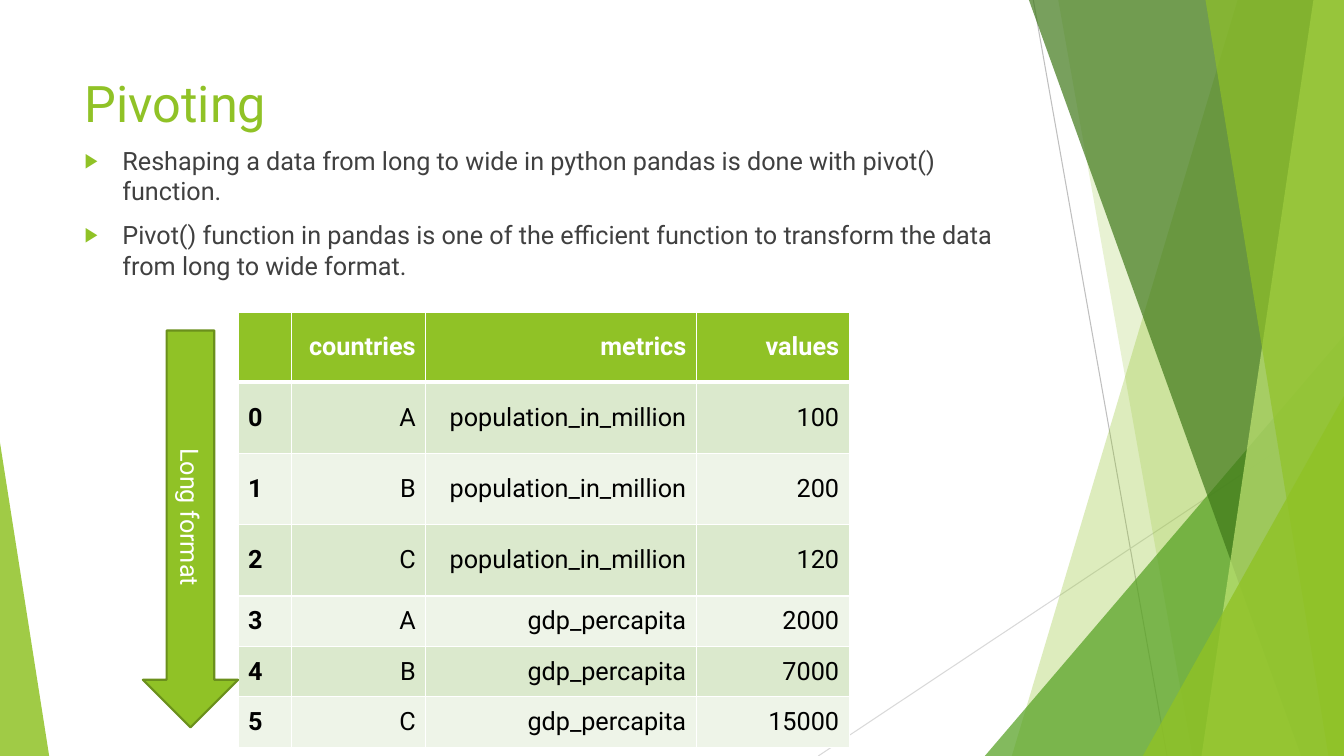
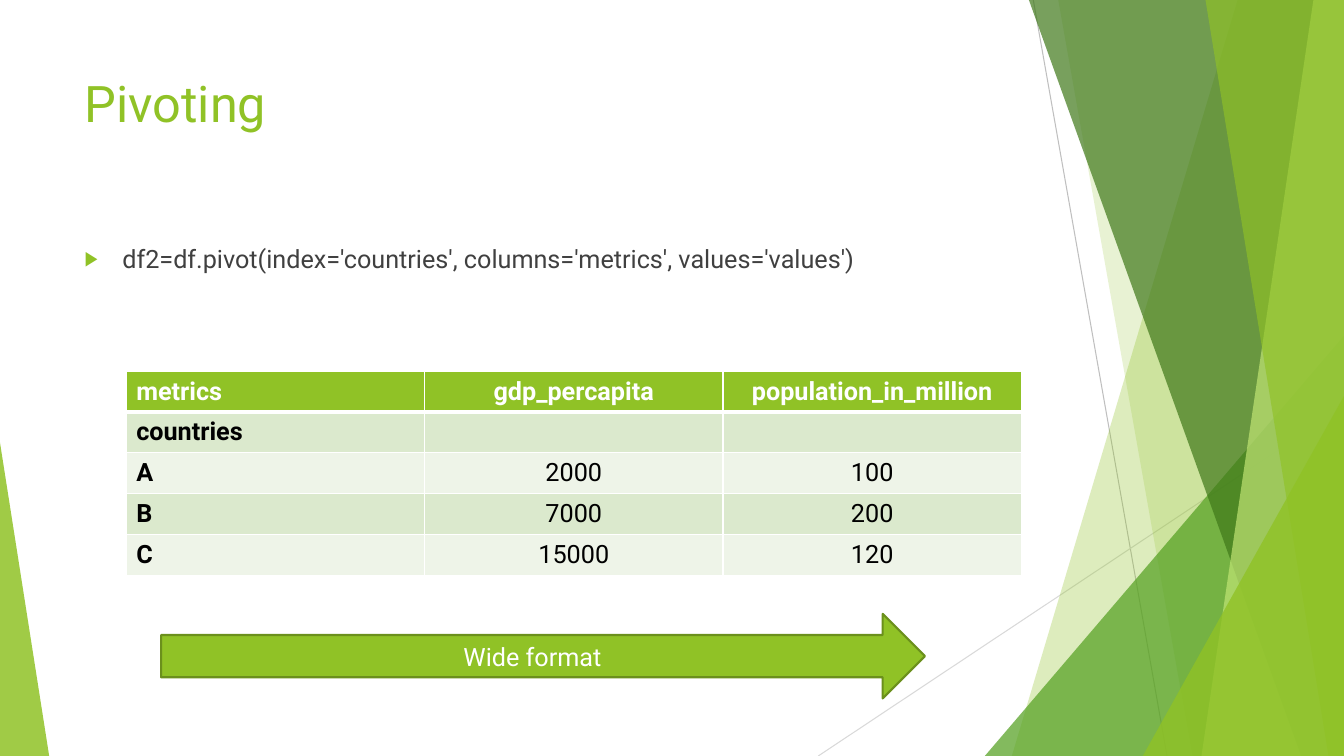
from typing import NamedTuple

from lxml.etree import SubElement
from pptx import Presentation
from pptx.dml.color import RGBColor
from pptx.enum.shapes import MSO_CONNECTOR as Connector, MSO_SHAPE as Shape
from pptx.enum.text import MSO_ANCHOR as Anchor, MSO_AUTO_SIZE as AutoSize, PP_ALIGN as Align
from pptx.oxml.ns import qn
from pptx.util import Cm, Pt

FONT = "Roboto"
COLORS = {
    "lime": "90C226", "pale_lime": "C0E474", "green": "54A021", "forest": "3F7819",
    "outline": "6B901C", "text": "404040", "black": "000000", "white": "FFFFFF",
    "band_dark": "DBE9CD", "band_light": "EEF4E8", "gray": "BFBFBF", "light_gray": "D9D9D9",
}


class Box(NamedTuple):
    """A region in centimetres."""
    left: float
    top: float
    width: float
    height: float

    def emu(self):
        return [Cm(length) for length in self]


PAGE = Box(0, 0, 33.87, 19.05)
TITLE = Box(1.88, 1.7, 23.88, 3.66)

# Slanted bands run from the top x to the bottom x and fill to the right edge:
# (top x, bottom x, colour, opacity in percent)
BANDS_BACK = [(31.19, 25.5, "lime", 30), (26.67, 30.05, "lime", 20)]
BANDS_FRONT = [(25.93, 32.79, "forest", 70), (33.1, 30.28, "pale_lime", 70),
               (30.38, 33.48, "lime", 65)]


def rgb(name):
    return RGBColor.from_string(COLORS[name])


def style_font(font, color, size=18, bold=False):
    font.name, font.size, font.bold = FONT, Pt(size), bold
    font.color.rgb = rgb(color)


def fill_translucent(shape, color, opacity):
    shape.shadow.inherit = False
    shape.fill.solid()
    shape.fill.fore_color.rgb = rgb(color)
    shape.line.fill.background()
    clr = shape.element.spPr.find(qn("a:solidFill"))[0]
    SubElement(clr, qn("a:alpha"), val=str(opacity * 1000))


# Shared backdrop
def add_backdrop(slide, box):
    """Draw the backdrop as one group and hand it to the slide master."""
    group = slide.shapes.add_group_shape()
    parts = group.shapes
    right, bottom = box.left + box.width, box.top + box.height

    def line(start, end, color):
        rule = parts.add_connector(Connector.STRAIGHT, *map(Cm, start + end))
        rule.line.color.rgb = rgb(color)
        rule.line.width = Pt(0.75)
        SubElement(rule.element.spPr, qn("a:effectLst"))

    def band(top_x, bottom_x, color, opacity):
        outline = parts.build_freeform(Cm(box.left + top_x), Cm(box.top))
        corners = [(right, box.top), (right, bottom), (box.left + bottom_x, bottom)]
        outline.add_line_segments([(Cm(x), Cm(y)) for x, y in corners])
        fill_translucent(outline.convert_to_shape(), color, opacity)

    def wedge(left, top, width, apex, color, opacity):
        area = Box(box.left + left, box.top + top, width, box.height - top)
        triangle = parts.add_shape(Shape.ISOSCELES_TRIANGLE, *area.emu())
        triangle.adjustments[0] = apex
        fill_translucent(triangle, color, opacity)

    line((box.left + 26.04, box.top), (box.left + 29.41, bottom), "gray")
    line((right, box.top + 10.24), (box.left + 20.62, bottom), "light_gray")
    for slant in BANDS_BACK:
        band(*slant)
    wedge(24.82, 8.46, 9.05, 1, "green", 72)
    for slant in BANDS_FRONT:
        band(*slant)
    wedge(28.8, 9.98, 5.07, 1, "lime", 80)
    wedge(0, 11.15, 1.24, 0, "lime", 85)

    # Keep ids unique within the master, and place the group behind its placeholders
    for number, props in enumerate(group.element.xpath(".//p:cNvPr"), 100):
        props.set("id", str(number))
    slide.slide_layout.slide_master.element.cSld.spTree.insert(2, group.element)


# Title and list
def place_text(placeholder, box, lines):
    placeholder.left, placeholder.top, placeholder.width, placeholder.height = box.emu()
    frame = placeholder.text_frame
    frame.text = "\n".join(lines)
    frame.word_wrap = True
    frame.auto_size = AutoSize.NONE
    frame.vertical_anchor = Anchor.TOP
    for paragraph in frame.paragraphs:
        paragraph.alignment = Align.LEFT
    return frame.paragraphs


def add_title(slide, text):
    for paragraph in place_text(slide.shapes.title, TITLE, [text]):
        style_font(paragraph.font, "lime", 36)


def add_bullets(slide, box, lines):
    for paragraph in place_text(slide.placeholders[1], box, lines):
        props = paragraph._p.get_or_add_pPr()
        props.set("marL", str(Cm(0.95)))
        props.set("indent", str(-Cm(0.95)))
        SubElement(SubElement(props, qn("a:buClr")), qn("a:srgbClr"), val=COLORS["lime"])
        SubElement(props, qn("a:buSzPct"), val="80000")
        SubElement(props, qn("a:buChar"), char="▶")
        paragraph.space_before = Pt(10)
        style_font(paragraph.font, "text")


# Tables
def set_borders(cell, row):
    props = cell._tc.get_or_add_tcPr()
    for side in "LRTB":
        under_header = (row, side) in ((0, "B"), (1, "T"))
        edge = SubElement(props, qn(f"a:ln{side}"), w=str(Pt(3 if under_header else 1)))
        SubElement(SubElement(edge, qn("a:solidFill")), qn("a:srgbClr"), val=COLORS["white"])


def add_data_table(slide, box, records, col_widths, row_heights, value_align):
    table = slide.shapes.add_table(len(records), len(col_widths), *box.emu()).table
    for column, width in zip(table.columns, col_widths):
        column.width = Cm(width)
    for row, height in zip(table.rows, row_heights):
        row.height = Cm(height)
    for r, record in enumerate(records):
        band = "lime" if r == 0 else ("band_light", "band_dark")[r % 2]
        for c, text in enumerate(record):
            cell = table.cell(r, c)
            set_borders(cell, r)
            cell.fill.solid()
            cell.fill.fore_color.rgb = rgb(band)
            cell.vertical_anchor = Anchor.MIDDLE
            cell.text = text
            paragraph = cell.text_frame.paragraphs[0]
            paragraph.alignment = value_align if c else Align.LEFT
            style_font(paragraph.font, "black" if r else "white", bold=r == 0 or c == 0)


# Labelled arrows
def add_format_arrow(slide, box, direction, label, vertical=False):
    arrow = slide.shapes.add_shape(direction, *box.emu())
    arrow.shadow.inherit = False
    arrow.fill.solid()
    arrow.fill.fore_color.rgb = rgb("lime")
    arrow.line.color.rgb = rgb("outline")
    arrow.line.width = Pt(1.5)
    frame = arrow.text_frame
    frame.text = label
    frame.vertical_anchor = Anchor.MIDDLE
    if vertical:
        arrow.element.txBody.bodyPr.set("vert", "vert")
    frame.paragraphs[0].alignment = Align.CENTER
    style_font(frame.paragraphs[0].font, "white")


# Slides
def build_long_slide(slide):
    add_title(slide, "Pivoting")
    add_bullets(slide, Box(1.88, 3.53, 23.88, 10.77), [
        "Reshaping a data from long to wide in python pandas is done with pivot() function.",
        "Pivot() function in pandas is one of the efficient function to transform the data "
        "from long to wide format.",
    ])
    records = [
        ("", "countries", "metrics", "values"),
        ("0", "A", "population_in_million", "100"),
        ("1", "B", "population_in_million", "200"),
        ("2", "C", "population_in_million", "120"),
        ("3", "A", "gdp_percapita", "2000"),
        ("4", "B", "gdp_percapita", "7000"),
        ("5", "C", "gdp_percapita", "15000"),
    ]
    add_data_table(slide, Box(6, 7.88, 15.4, 10.95), records, [1.35, 3.38, 6.82, 3.85],
                   [1.74] + [1.8] * 3 + [1.27] * 3, Align.RIGHT)
    add_format_arrow(slide, Box(3.6, 8.33, 2.4, 10), Shape.DOWN_ARROW, "Long format", True)


def build_wide_slide(slide):
    add_title(slide, "Pivoting")
    add_bullets(slide, Box(1.88, 6, 23.88, 10.77),
                ["df2=df.pivot(index='countries', columns='metrics', values='values')"])
    records = [
        ("metrics", "gdp_percapita", "population_in_million"),
        ("countries", "", ""),
        ("A", "2000", "100"),
        ("B", "7000", "200"),
        ("C", "15000", "120"),
    ]
    add_data_table(slide, Box(3.18, 9.35, 22.56, 5.15), records, [7.52] * 3,
                   [1.03] * 5, Align.CENTER)
    add_format_arrow(slide, Box(4.06, 15.47, 19.25, 2.13), Shape.RIGHT_ARROW, "Wide format")


def main():
    deck = Presentation()
    deck.slide_width, deck.slide_height = Cm(PAGE.width), Cm(PAGE.height)
    layout = deck.slide_layouts[1]
    long_slide, wide_slide = (deck.slides.add_slide(layout) for _ in range(2))
    add_backdrop(long_slide, PAGE)
    build_long_slide(long_slide)
    build_wide_slide(wide_slide)
    deck.save("out.pptx")


if __name__ == "__main__":
    main()
